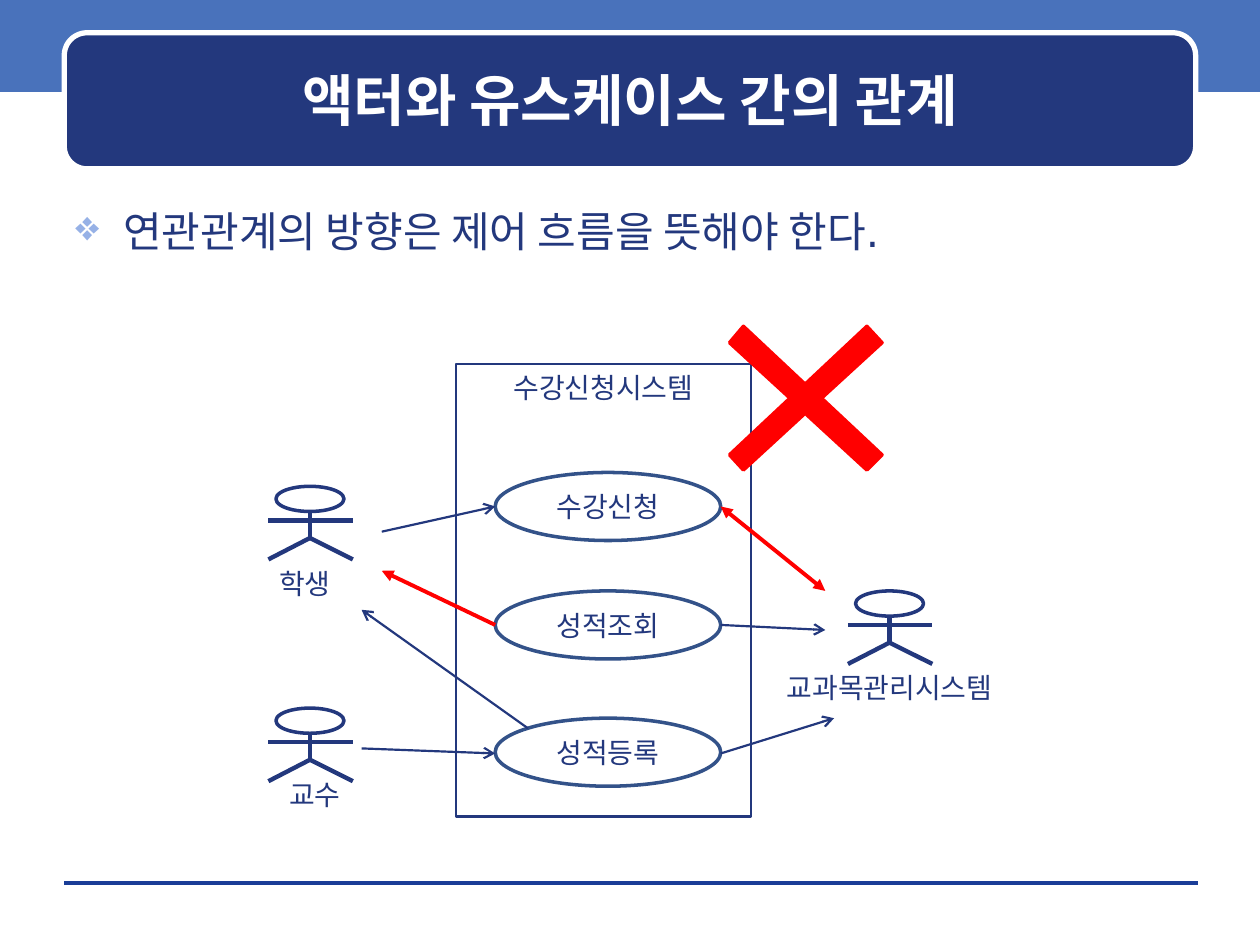
from lxml import etree
from pptx import Presentation
from pptx import util as u
from pptx.dml.color import RGBColor
from pptx.enum import shapes, text
from pptx.oxml import ns

NAVY, RED, WHITE = "23387D", "FF0000", "FFFFFF"
HEADING_FONT, LABEL_FONT = "DejaVu Sans", "Noto Sans CJK KR"


def color(value):
    return RGBColor.from_string(value)


def add_tag(parent, tag, **attributes):
    return etree.SubElement(parent, ns.qn(tag), **attributes)


class DiagramSlide:
    """Draws styled use case elements on one slide."""

    def __init__(self, deck):
        self.slide = deck.slides.add_slide(deck.slide_layouts[5])
        self.shapes = self.slide.shapes

    def paint(self, shape, fill=None, line=None, width=1):
        shape.shadow.inherit = False
        if fill:
            shape.fill.solid()
            shape.fill.fore_color.rgb = color(fill)
        else:
            shape.fill.background()
        if line:
            shape.line.color.rgb = color(line)
            shape.line.width = u.Pt(width)
        else:
            shape.line.fill.background()

    def set_text(self, shape, words, size=16, ink=NAVY, font=LABEL_FONT, bold=False,
                 align=text.PP_ALIGN.CENTER, anchor=text.MSO_ANCHOR.TOP, side=0.1, bullet=None):
        frame = shape.text_frame
        frame.word_wrap = True
        frame.vertical_anchor = anchor
        frame.margin_left = frame.margin_right = u.Inches(side)
        frame.text = words
        paragraph = frame.paragraphs[0]
        paragraph.alignment = align
        properties = paragraph._p.get_or_add_pPr()
        if bullet:
            properties.set("marL", str(u.Inches(0.38)))
            properties.set("indent", str(-u.Inches(0.38)))
            add_tag(add_tag(properties, "a:buClr"), "a:srgbClr", val="96B1E6")
            add_tag(properties, "a:buChar", char=bullet)
        paragraph.font.size = u.Pt(size)
        paragraph.font.bold = bold
        paragraph.font.color.rgb = color(ink)
        paragraph.font.name = font
        add_tag(properties.find(ns.qn("a:defRPr")), "a:ea", typeface=LABEL_FONT)

    def shape(self, kind, box, **style):
        shape = self.shapes.add_shape(kind, *map(u.Inches, box))
        self.paint(shape, **style)
        return shape

    def title(self, words, box):
        title = self.shapes.title
        title.left, title.top, title.width, title.height = map(u.Inches, box)
        self.set_text(title, words, 32, WHITE, HEADING_FONT, True, anchor=text.MSO_ANCHOR.MIDDLE)
        self.shapes._spTree.append(title._element)

    def label(self, words, box, **style):
        self.set_text(self.shapes.add_textbox(*map(u.Inches, box)), words, **style)

    def line(self, start, end, ink=NAVY, width=1.25, head=None, tail=None):
        line = self.shapes.add_connector(
            shapes.MSO_CONNECTOR.STRAIGHT, *map(u.Inches, start + end))
        line.line.color.rgb = color(ink)
        line.line.width = u.Pt(width)
        outline = line.line._get_or_add_ln()
        for tag, arrow in (("a:headEnd", head), ("a:tailEnd", tail)):
            if arrow:
                add_tag(outline, tag, type=arrow)
        add_tag(line._element.spPr, "a:effectLst")

    def actor(self, center, top):
        self.shape(shapes.MSO_SHAPE.OVAL, (center - 0.27, top, 0.54, 0.2), line=NAVY, width=2)
        hip = (center, top + 0.41)
        self.line((center, top + 0.2), hip, width=2.5)
        self.line((center - 0.33, top + 0.27), (center + 0.34, top + 0.27), width=2.5)
        for foot in (center - 0.33, center + 0.34):
            self.line(hip, (foot, top + 0.58), width=2.5)

    def use_case(self, words, top):
        oval = self.shape(shapes.MSO_SHAPE.OVAL, (3.93, top, 1.79, 0.54), line="335289", width=2)
        self.set_text(oval, words, anchor=text.MSO_ANCHOR.MIDDLE, side=0)

    def outline(self, points, ink):
        corners = [tuple(map(u.Inches, point)) for point in points]
        builder = self.shapes.build_freeform(*corners[0])
        builder.add_line_segments(corners[1:], close=True)
        self.paint(builder.convert_to_shape(), fill=ink, line=ink, width=2)


def main():
    deck = Presentation()
    deck.slide_width, deck.slide_height = u.Inches(10), u.Inches(7.5)
    page = DiagramSlide(deck)

    page.shape(shapes.MSO_SHAPE.RECTANGLE, (0, -0.03, 10, 0.76), fill="4972BB")
    page.line((0.51, 7.01), (9.51, 7.01), ink="1A3D97", width=0)
    page.shape(shapes.MSO_SHAPE.ROUNDED_RECTANGLE, (0.51, 0.26, 8.98, 1.08),
               fill=NAVY, line=WHITE, width=3)
    page.title("액터와 유스케이스 간의 관계", (0.6, 0.35, 8.81, 0.88))
    page.label("연관관계의 방향은 제어 흐름을 뜻해야 한다.", (0.5, 1.58, 9, 0.6), size=24,
               font=HEADING_FONT, align=text.PP_ALIGN.LEFT, bullet="❖")

    for center, top in ((2.46, 3.86), (2.46, 5.62), (7.06, 4.69)):
        page.actor(center, top)
    page.label("교과목관리시스템", (5.84, 5.27, 2.44, 0.37))

    system = page.shape(shapes.MSO_SHAPE.RECTANGLE, (3.62, 2.89, 2.34, 3.59),
                        line=NAVY, width=1.25)
    page.set_text(system, "수강신청시스템")
    for words, top in (("수강신청", 3.75), ("성적조회", 4.69), ("성적등록", 5.7)):
        page.use_case(words, top)

    for start, end in (
        ((3.03, 4.22), (3.93, 4.02)),
        ((2.87, 5.94), (3.93, 5.98)),
        ((5.72, 4.96), (6.55, 5)),
        ((5.72, 5.98), (6.62, 5.7)),
        ((4.19, 5.78), (2.87, 4.84)),
    ):
        page.line(start, end, tail="arrow")
    page.line((3.03, 4.53), (3.93, 4.96), RED, 2.25, head="triangle")
    page.line((5.72, 4.02), (6.55, 4.69), RED, 2.25, head="triangle", tail="triangle")

    page.label("학생", (1.74, 4.45, 1.36, 0.37))
    page.label("교수", (1.82, 6.12, 1.36, 0.37))
    page.outline([(5.79, 2.72), (5.9, 2.59), (6.39, 3.05), (6.88, 2.59), (7, 2.72), (6.52, 3.16),
                  (7, 3.61), (6.88, 3.73), (6.39, 3.28), (5.9, 3.73), (5.79, 3.61), (6.27, 3.16)],
                 RED)
    deck.save("out.pptx")


if __name__ == "__main__":
    main()
